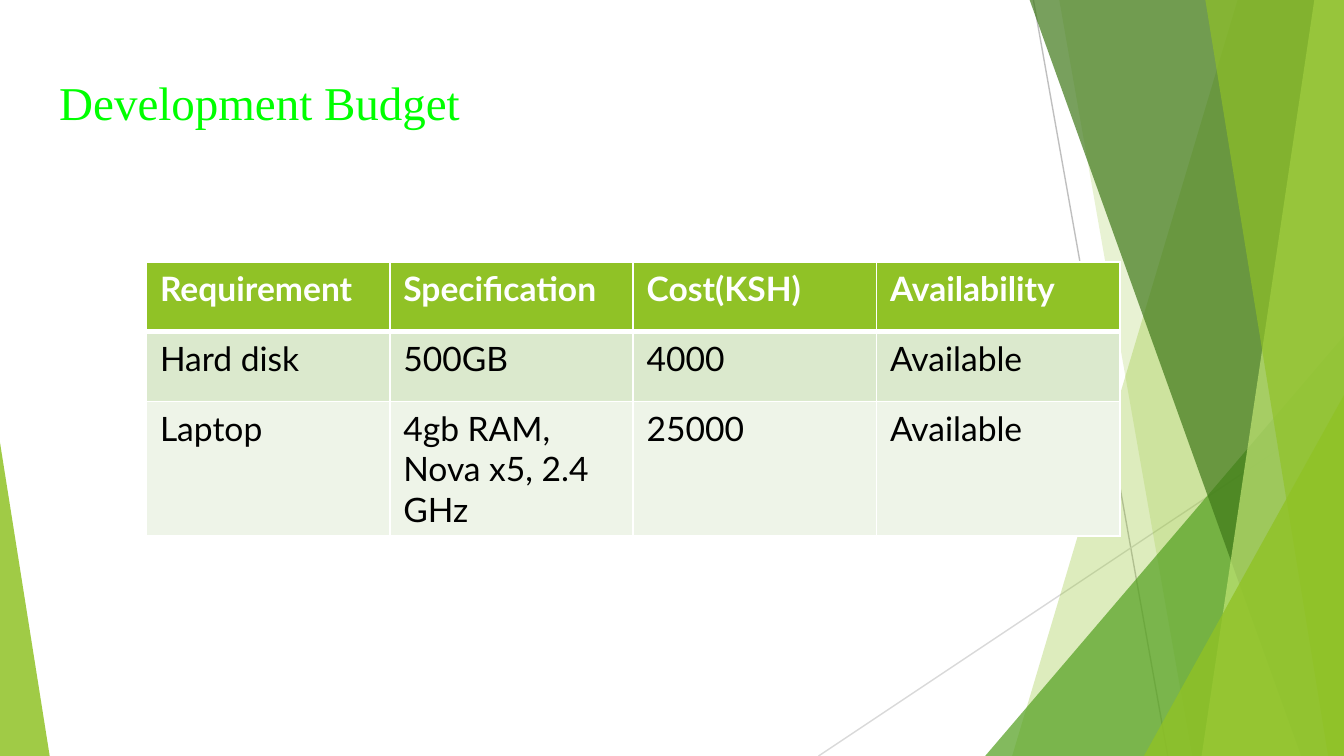
"""Build the development budget slide with its faceted green backdrop."""
from lxml import etree
from pptx import Presentation
from pptx import util as u
from pptx.dml.color import RGBColor
from pptx.enum import shapes, text
from pptx.oxml import ns

GREEN = RGBColor(0x90, 0xC2, 0x26)
LEAF = RGBColor(0x54, 0xA0, 0x21)
FOREST = RGBColor(0x3F, 0x78, 0x19)
LIME = RGBColor(0xC0, 0xE4, 0x74)
BRIGHT = RGBColor(0x00, 0xFF, 0x00)
PALE = RGBColor(0xDB, 0xE9, 0xCD)
PALER = RGBColor(0xEE, 0xF4, 0xE8)
GREY = RGBColor(0xBF, 0xBF, 0xBF)
SILVER = RGBColor(0xD9, 0xD9, 0xD9)
WHITE = RGBColor(0xFF, 0xFF, 0xFF)
BLACK = RGBColor(0, 0, 0)
W, H = 25.4, 14.29


def paint(sp, color, alpha):
    sp.shadow.inherit = False
    sp.line.fill.background()
    sp.fill.solid()
    sp.fill.fore_color.rgb = color
    clr = sp.fill._xPr.find(".//" + ns.qn("a:srgbClr"))
    etree.SubElement(clr, ns.qn("a:alpha"), val=str(alpha * 1000))


def write(tf, words, size, font, color, bold):
    r = tf.paragraphs[0].add_run()
    r.text = words
    fmt = {"size": u.Pt(size), "name": font, "bold": bold}
    for key, val in fmt.items():
        setattr(r.font, key, val)
    r.font.color.rgb = color


prs = Presentation()
prs.slide_width, prs.slide_height = u.Cm(W), u.Cm(H)
s = prs.slides.add_slide(prs.slide_layouts[6])

for x1, y1, x2, y2, color in [
    (19.53, 0, 22.07, H, GREY),
    (W, 7.67, 15.47, H, SILVER),
]:
    ln = s.shapes.add_connector(
        shapes.MSO_CONNECTOR.STRAIGHT, u.Cm(x1), u.Cm(y1), u.Cm(x2), u.Cm(y2))
    ln.line.color.rgb = color
    ln.line.width = u.Pt(0.75)
    etree.SubElement(ln._element.spPr, ns.qn("a:effectLst"))

facets = [
    ("band", 23.39, 19.13, GREEN, 30),
    ("band", 20.02, 22.53, GREEN, 20),
    ("triangle", (18.62, W), 6.35, LEAF, 72),
    ("band", 19.46, 24.59, FOREST, 70),
    ("band", 24.84, 22.71, LIME, 70),
    ("band", 22.78, 25.1, GREEN, 65),
    ("triangle", (21.62, W), 7.47, GREEN, 80),
    ("triangle", (0, 0.94), 8.36, GREEN, 85),
]
for kind, a, b, color, alpha in facets:
    if kind == "band":
        fb = s.shapes.build_freeform(u.Cm(a), 0)
        fb.add_line_segments(
            [(u.Cm(x), u.Cm(y)) for x, y in [(W, 0), (W, H), (b, H)]])
        sp = fb.convert_to_shape()
    else:
        left, right = a
        sp = s.shapes.add_shape(
            shapes.MSO_SHAPE.ISOSCELES_TRIANGLE,
            u.Cm(left), u.Cm(b), u.Cm(right - left), u.Cm(H - b))
        sp.adjustments[0] = 1 if left else 0
    paint(sp, color, alpha)

tb = s.shapes.add_textbox(u.Cm(0.87), u.Cm(1.08), u.Cm(23.67), u.Cm(1.68))
tf = tb.text_frame
fmt = {"word_wrap": True, "vertical_anchor": text.MSO_ANCHOR.MIDDLE}
fmt.update({f"margin_{side}": u.Cm(0.25) for side in ("left", "top", "right", "bottom")})
for key, val in fmt.items():
    setattr(tf, key, val)
write(tf, "Development Budget", 25.2, "Times New Roman", BRIGHT, False)

rows = [
    ("Requirement", "Specification", "Cost(KSH)", "Availability"),
    ("Hard disk", "500GB", "4000", "Available"),
    ("Laptop", "4gb RAM, Nova x5, 2.4 GHz", "25000", "Available"),
]
heights = [1.32, 1.32, 1.78]
fills = [GREEN, PALE, PALER]
tbl = s.shapes.add_table(
    len(rows), len(rows[0]), u.Cm(2.77), u.Cm(4.95), u.Cm(18.4), u.Cm(sum(heights))).table
for col in tbl.columns:
    col.width = u.Cm(4.6)
for i, (row, height, fill) in enumerate(zip(rows, heights, fills)):
    tbl.rows[i].height = u.Cm(height)
    for j, words in enumerate(row):
        cell = tbl.cell(i, j)
        tcPr = cell._tc.get_or_add_tcPr()
        for side in "LRTB":
            thick = (i, side) in [(0, "B"), (1, "T")]
            ln = etree.SubElement(
                tcPr, ns.qn(f"a:ln{side}"), w=str(u.Pt(3 if thick else 1)))
            solid = etree.SubElement(ln, ns.qn("a:solidFill"))
            etree.SubElement(solid, ns.qn("a:srgbClr"), val=str(WHITE))
        cell.fill.solid()
        cell.fill.fore_color.rgb = fill
        write(cell.text_frame, words, 18, "Lato", BLACK if i else WHITE, i == 0)

prs.save("out.pptx")
